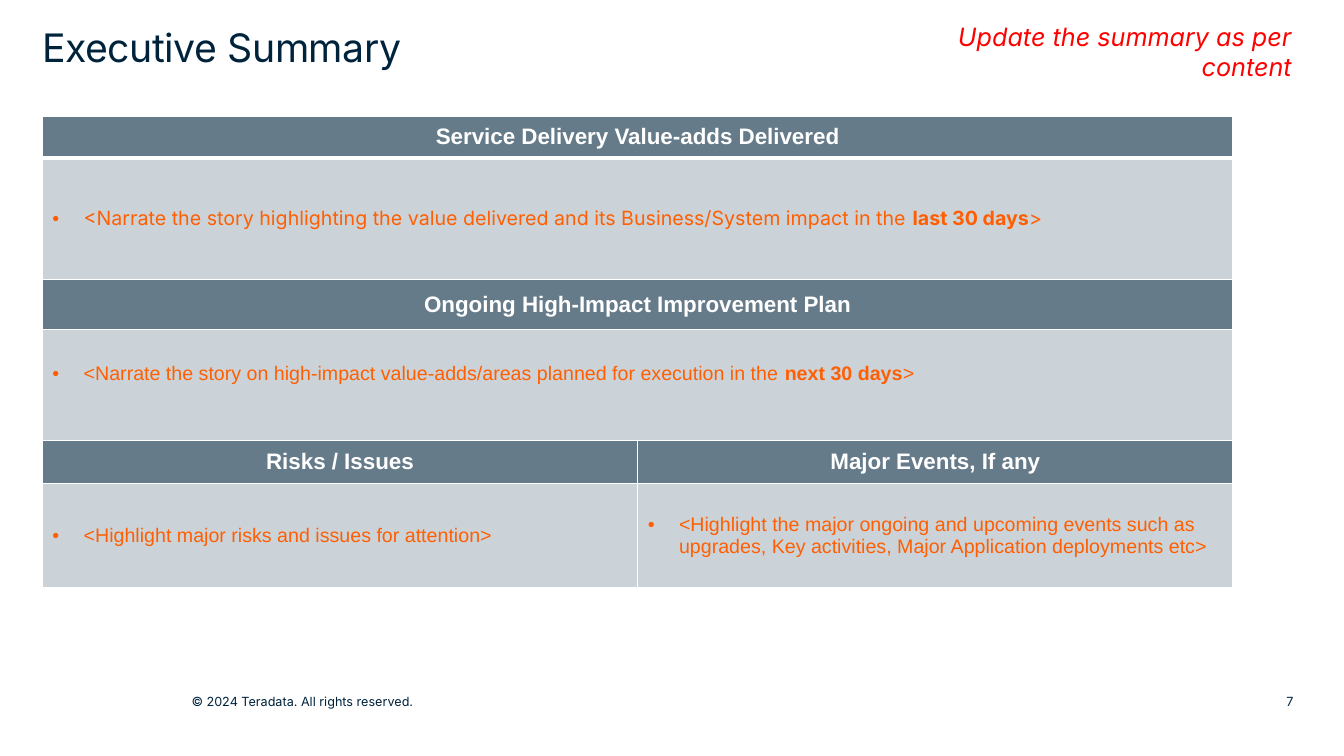
import pptx
import pptx.util
import pptx.dml.color
import pptx.enum.text
import pptx.oxml
import pptx.oxml.ns

Inches = pptx.util.Inches
Pt = pptx.util.Pt
Align = pptx.enum.text.PP_ALIGN
NAVY, RED, WHITE = "00233C", "FF0000", "FFFFFF"
SLATE, MIST, ORANGE = "667B8A", "CCD3D8", "FF5F02"


def color(code):
    return pptx.dml.color.RGBColor.from_string(code)


def node(tag, inner="", **attrs):
    text = "".join(f' {key}="{val}"' for key, val in attrs.items())
    space = pptx.oxml.ns.nsdecls("a")
    return pptx.oxml.parse_xml(f"<a:{tag} {space}{text}>{inner}</a:{tag}>")


class Board:
    """Holds the text style and the current slide, and draws its elements."""

    def __init__(self, slide, face="Inter", ink=NAVY):
        self.slide = slide
        self.face = face
        self.ink = ink

    def run(self, para, text, size, ink=None, face=None, bold=False, slant=False):
        run = para.add_run()
        run.text = text
        font = run.font
        font.name = face or self.face
        font.size = Pt(size)
        font.bold = bold
        font.italic = slant
        font.color.rgb = color(ink or self.ink)
        return run

    def text(self, place, text, size, align=Align.LEFT, pad=(0, 0), **style):
        box = self.slide.shapes.add_textbox(*map(Inches, place))
        frame = box.text_frame
        frame.word_wrap = True
        frame.margin_left = frame.margin_right = Inches(pad[0])
        frame.margin_top = frame.margin_bottom = Inches(pad[1])
        para = frame.paragraphs[0]
        para.alignment = align
        return self.run(para, text, size, **style)

    def table(self, place, rows, cols):
        frame = self.slide.shapes.add_table(len(rows), len(cols), *map(Inches, place))
        table = frame.table
        table.first_row = table.horz_banding = False
        for row, high in zip(table.rows, rows):
            row.height = Inches(high)
        for col, wide in zip(table.columns, cols):
            col.width = Inches(wide)
        return table

    def paint(self, cell, fill, top=1, base=1):
        cell.fill.solid()
        cell.fill.fore_color.rgb = color(fill)
        cell.vertical_anchor = pptx.enum.text.MSO_ANCHOR.MIDDLE
        line = f'<a:solidFill><a:srgbClr val="{WHITE}"/></a:solidFill>'
        sides = {"lnL": 1, "lnR": 1, "lnT": top, "lnB": base}
        for spot, (tag, width) in enumerate(sides.items()):
            cell._tc.tcPr.insert(spot, node(tag, line, w=Pt(width)))

    def head(self, cell, text):
        para = cell.text_frame.paragraphs[0]
        para.alignment = Align.CENTER
        self.run(para, text, 16, WHITE, "Arial", bold=True)

    def point(self, cell, parts, face="Arial"):
        para = cell.text_frame.paragraphs[0]
        props = para._p.get_or_add_pPr()
        props.set("marL", str(Inches(0.31)))
        props.set("indent", str(Inches(-0.31)))
        props.append(node("buFont", typeface="Arial"))
        props.append(node("buChar", char="•"))
        for spot, part in enumerate(parts):
            self.run(para, part, 14, ORANGE, face, bold=spot == 1)


def main():
    deck = pptx.Presentation()
    deck.slide_width = Inches(13.33)
    deck.slide_height = Inches(7.5)
    board = Board(deck.slides.add_slide(deck.slide_layouts[6]))

    board.text((1.9, 6.88, 2.4, 0.4), "© 2024 Teradata. All rights reserved.", 9)
    board.text((12.33, 6.88, 0.5, 0.4), "7", 9, Align.RIGHT)
    title = board.text((0.42, 0.23, 12.33, 0.57), "Executive Summary", 28)
    title._r.get_or_add_rPr().set("spc", "-30")
    board.text((8.7, 0.16, 4.21, 0.7), "Update the summary as per content", 18,
               Align.RIGHT, (0.1, 0.05), ink=RED, slant=True)

    heights = [0.42, 1.2, 0.5, 1.1, 0.43, 1.03]
    table = board.table((0.42, 1.15, 11.81, 4.67), heights, [5.905] * 2)
    for row in range(len(heights)):
        fill = MIST if row % 2 else SLATE
        for col in range(2):
            board.paint(table.cell(row, col), fill,
                        top=3 if row == 1 else 1, base=3 if row == 0 else 1)
        if row < 4:
            table.cell(row, 0).merge(table.cell(row, 1))

    blocks = [
        (0, 0, "Service Delivery Value-adds Delivered", "Inter",
         ["<Narrate the story highlighting the value delivered and its "
          "Business/System impact in the ", "last 30 days", ">"]),
        (2, 0, "Ongoing High-Impact Improvement Plan", "Arial",
         ["<Narrate the story on high-impact value-adds/areas planned for "
          "execution in the ", "next 30 days", ">"]),
        (4, 0, "Risks / Issues", "Arial",
         ["<Highlight major risks and issues for attention>"]),
        (4, 1, "Major Events, If any", "Arial",
         ["<Highlight the major ongoing and upcoming events such as upgrades, "
          "Key activities, Major Application deployments etc>"]),
    ]
    for row, col, head, face, parts in blocks:
        board.head(table.cell(row, col), head)
        board.point(table.cell(row + 1, col), parts, face)
    table.cell(3, 0).margin_bottom = Inches(0.27)

    deck.save("out.pptx")


if __name__ == "__main__":
    main()
